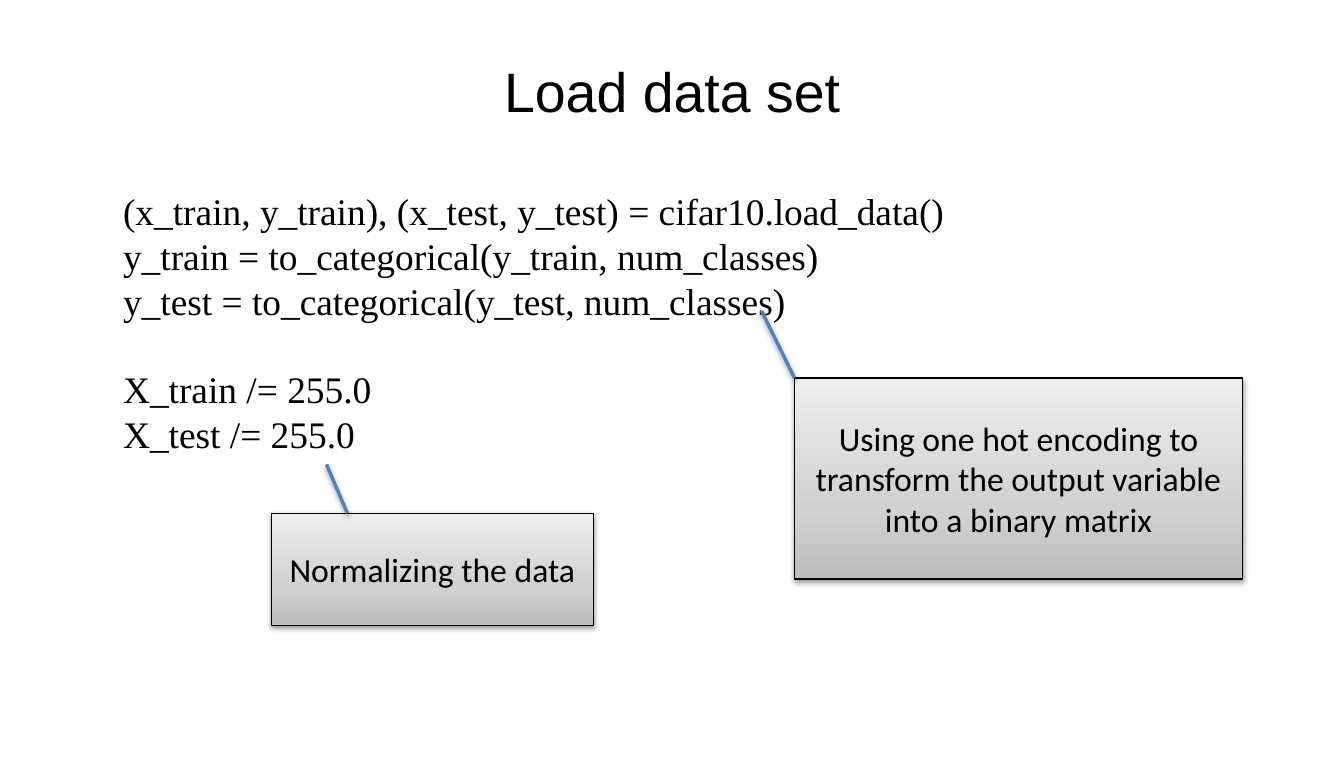
from copy import deepcopy

from lxml import etree
from pptx import Presentation
from pptx import util as u
from pptx.dml.color import RGBColor
from pptx.enum import shapes, text
from pptx.oxml.ns import qn

BLACK = RGBColor(0x00, 0x00, 0x00)
WHITE = RGBColor(0xFF, 0xFF, 0xFF)
BLUE = RGBColor(0x4F, 0x81, 0xBD)
GREY_STOPS = [
    (0, RGBColor(0xBD, 0xBD, 0xBD)),
    (0.35, RGBColor(0xD1, 0xD1, 0xD1)),
    (1, RGBColor(0xEE, 0xEE, 0xEE)),
]

SLIDE_SIZE = (11.03, 6.21)
TITLE = "Load data set"
TITLE_BOX = (2.84, 0.51, 5.35, 0.47)
CODE_BLOCKS = [
    [
        "(x_train, y_train), (x_test, y_test) = cifar10.load_data()",
        "y_train = to_categorical(y_train, num_classes)",
        "y_test = to_categorical(y_test, num_classes)",
    ],
    ["X_train /= 255.0", "X_test /= 255.0"],
]
CODE_BOX = (0.9, 1.47, 7.01, 2.34)
# Each pointer runs from a code line to a point on its note's top edge,
# given as a share of the note's width.
NOTES = [
    {
        "text": "Using one hot encoding to transform the output variable into a binary matrix",
        "box": (6.52, 3.1, 3.68, 1.65),
        "pointer_start": (6.25, 2.55),
        "edge_share": 0,
    },
    {
        "text": "Normalizing the data",
        "box": (2.23, 4.21, 2.64, 0.92),
        "pointer_start": (2.68, 3.81),
        "edge_share": 0.235,
    },
]

TITLE_FONT = {"name": "Arial", "size": u.Pt(32.8)}
CODE_FONT = {"name": "Times New Roman", "size": u.Pt(22.1)}
NOTE_FONT = {"name": "Calibri", "size": u.Pt(19.9)}
BLOCK_GAP = u.Pt(25.4)
SHADOW = {"blurRad": u.Pt(3.1), "dist": u.Pt(1.6), "dir": 90 * 60000, "rotWithShape": 0}
SHADOW_ALPHA = 38000


def inches(lengths):
    return [u.Inches(length) for length in lengths]


def set_frame(shape, wrap=True, margins=(0.1, 0.05)):
    frame = shape.text_frame
    across, down = inches(margins)
    values = {
        "word_wrap": wrap,
        "vertical_anchor": text.MSO_ANCHOR.MIDDLE,
        "margin_left": across,
        "margin_right": across,
        "margin_top": down,
        "margin_bottom": down,
    }
    for name, value in values.items():
        setattr(frame, name, value)
    return frame


def write(paragraph, words, font, alignment=text.PP_ALIGN.CENTER):
    paragraph.alignment = alignment
    run = paragraph.add_run()
    run.text = words
    for name, value in font.items():
        setattr(run.font, name, value)
    run.font.color.rgb = BLACK


def draw_line(line, color, width):
    line.color.rgb = color
    line.width = u.Pt(width)


def add_shadow(shape):
    """Append a soft downward shadow; the line must be set first."""
    effects = etree.SubElement(shape._element.spPr, qn("a:effectLst"))
    values = {name: str(value) for name, value in SHADOW.items()}
    shadow = etree.SubElement(effects, qn("a:outerShdw"), values)
    color = etree.SubElement(shadow, qn("a:srgbClr"), val=str(BLACK))
    etree.SubElement(color, qn("a:alpha"), val=str(SHADOW_ALPHA))


def fill_grey(shape):
    """Fill with the three grey stops, darkest at the bottom."""
    shape.fill.gradient()
    shape.fill.gradient_angle = 90
    stop_list = shape._element.spPr.find(".//" + qn("a:gsLst"))
    stop_list.append(deepcopy(stop_list[0]))
    for stop, (position, color) in zip(shape.fill.gradient_stops, GREY_STOPS):
        stop.position = position
        stop.color.rgb = color


def add_title(slide):
    frame = set_frame(slide.shapes.add_textbox(*inches(TITLE_BOX)), margins=(0, 0))
    write(frame.paragraphs[0], TITLE, TITLE_FONT)


def add_code(slide):
    box = slide.shapes.add_textbox(*inches(CODE_BOX))
    box.fill.solid()
    box.fill.fore_color.rgb = WHITE
    frame = set_frame(box, wrap=False, margins=(0.11, 0.06))
    paragraph = frame.paragraphs[0]
    for block_index, block in enumerate(CODE_BLOCKS):
        for line_index, line in enumerate(block):
            if block_index or line_index:
                paragraph = frame.add_paragraph()
            if block_index and not line_index:
                paragraph.space_before = BLOCK_GAP
            write(paragraph, line, CODE_FONT, text.PP_ALIGN.LEFT)


def add_note(slide, note):
    box = slide.shapes.add_shape(shapes.MSO_SHAPE.RECTANGLE, *inches(note["box"]))
    fill_grey(box)
    draw_line(box.line, BLACK, 0.75)
    add_shadow(box)
    write(set_frame(box).paragraphs[0], note["text"], NOTE_FONT)

    left, top, width, _ = note["box"]
    pointer_end = (left + width * note["edge_share"], top)
    pointer = slide.shapes.add_connector(
        shapes.MSO_CONNECTOR.STRAIGHT, *inches(note["pointer_start"] + pointer_end)
    )
    draw_line(pointer.line, BLUE, 2)
    add_shadow(pointer)


def main():
    presentation = Presentation()
    presentation.slide_width, presentation.slide_height = inches(SLIDE_SIZE)
    slide = presentation.slides.add_slide(presentation.slide_layouts[6])
    add_title(slide)
    add_code(slide)
    for note in NOTES:
        add_note(slide, note)
    presentation.save("out.pptx")


if __name__ == "__main__":
    main()
